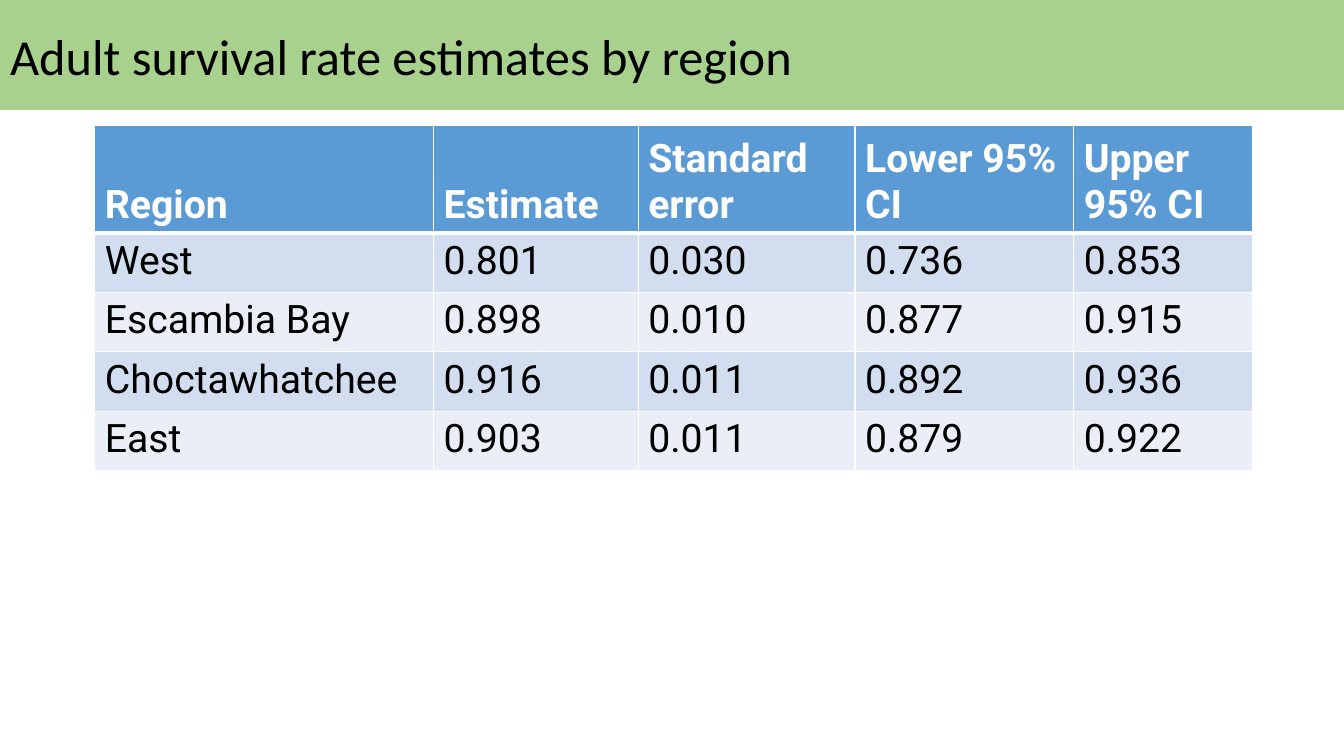
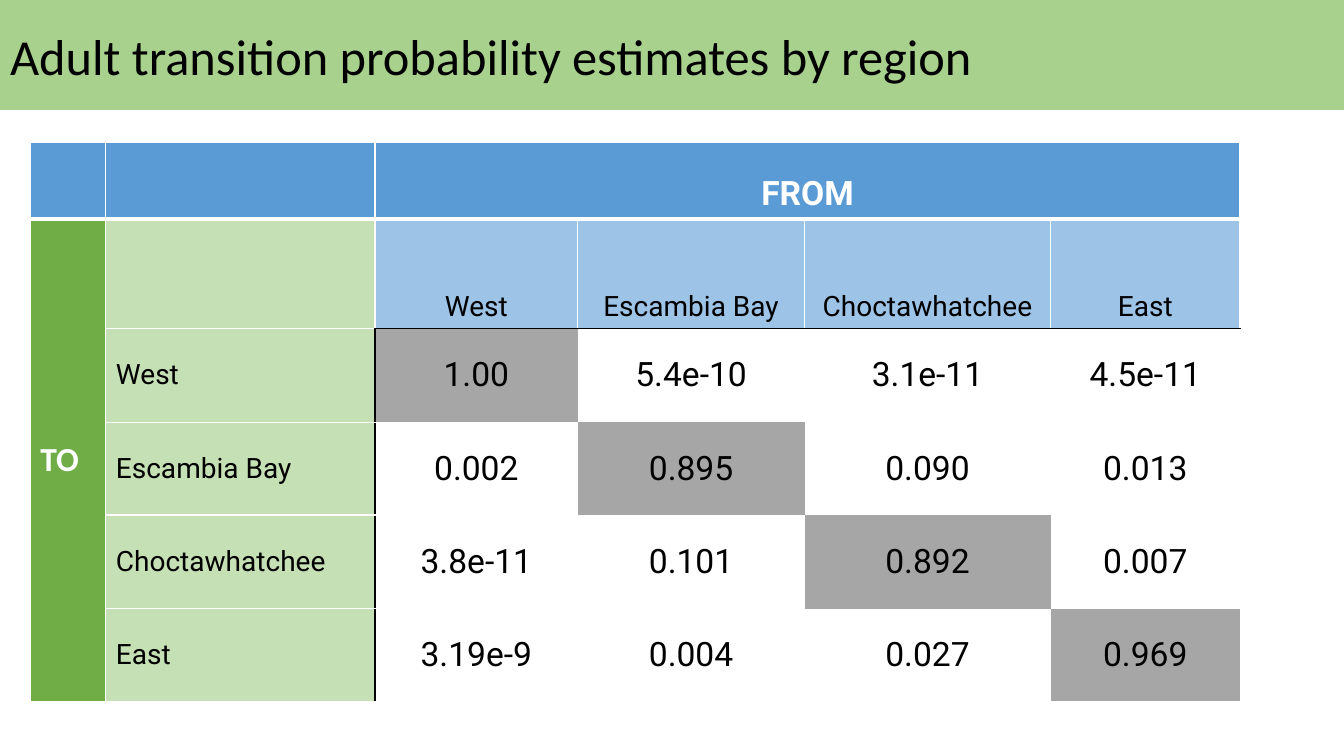
from lxml import etree
from pptx import Presentation
from pptx.dml.color import RGBColor
from pptx.enum.text import MSO_ANCHOR, PP_ALIGN
from pptx.oxml.ns import qn
from pptx.util import Pt

TOP, MID, LOW = MSO_ANCHOR.TOP, MSO_ANCHOR.MIDDLE, MSO_ANCHOR.BOTTOM
LEFT, MIDDLE = PP_ALIGN.LEFT, PP_ALIGN.CENTER
SCALE = 9144
WIDE, HIGH = 1333, 750
ONLY = 5

COLORS = {
    "band": "A9D18E", "black": "000000", "white": "FFFFFF",
    "blue": "5B9BD5", "sky": "9DC3E6", "odd": "D2DEEF", "even": "EAEFF7",
    "green": "70AD47", "mint": "C5E0B4", "gray": "A6A6A6",
}


def look(size, color, anchor, align=LEFT, bold=False, name="Roboto"):
    return {
        "font": {"size": Pt(size), "bold": bold, "name": name},
        "color": color, "anchor": anchor, "align": align,
    }


LOOKS = {
    "title": look(36, "black", MID, name="Calibri"),
    "head": look(28, "white", LOW, bold=True),
    "body": look(28, "black", TOP),
    "from": look(24, "white", LOW, MIDDLE, True),
    "to": look(24, "white", MID, bold=True, name="Calibri"),
    "top": look(20, "black", LOW, MIDDLE),
    "side": look(20, "black", MID),
    "value": look(24, "black", MID, MIDDLE),
}

THIN, THICK, DARK = ("white", 1), ("white", 3), ("black", 1)
GRID = dict.fromkeys("LRTB", THIN)
HEAD = GRID | {"B": THICK}
FIRST = GRID | {"T": THICK}


class Deck:
    def __init__(self):
        self.show = Presentation()
        self.show.slide_width = WIDE * SCALE
        self.show.slide_height = HIGH * SCALE
        self.slide = None

    def paint(self, item, color):
        item.fill.solid()
        item.fill.fore_color.rgb = RGBColor.from_string(COLORS[color])

    def label(self, frame, text, style):
        para = frame.paragraphs[0]
        para.alignment = style["align"]
        run = para.add_run()
        run.text = text
        for key, value in style["font"].items():
            setattr(run.font, key, value)
        run.font.color.rgb = RGBColor.from_string(COLORS[style["color"]])

    def page(self, text):
        self.slide = self.show.slides.add_slide(self.show.slide_layouts[ONLY])
        title = self.slide.shapes.title
        place = {"left": 0, "top": 0, "width": WIDE, "height": 109}
        for key, value in place.items():
            setattr(title, key, value * SCALE)
        self.paint(title, "band")
        title.text_frame.vertical_anchor = LOOKS["title"]["anchor"]
        self.label(title.text_frame, text, LOOKS["title"])

    def table(self, left, top, cols, rows):
        box = [left, top, sum(cols), sum(rows)]
        shape = self.slide.shapes.add_table(
            len(rows), len(cols), *(n * SCALE for n in box))
        table = shape.table
        table.horz_banding = False
        for col, width in zip(table.columns, cols):
            col.width = width * SCALE
        for row, height in zip(table.rows, rows):
            row.height = height * SCALE
        return table

    def edge(self, cell, sides):
        props = cell._tc.get_or_add_tcPr()
        for side in "LRTB":
            line = etree.SubElement(props, qn(f"a:ln{side}"))
            if side in sides:
                color, width = sides[side]
                line.set("w", str(Pt(width)))
                fill = etree.SubElement(line, qn("a:solidFill"))
                etree.SubElement(fill, qn("a:srgbClr"), val=COLORS[color])
            else:
                etree.SubElement(line, qn("a:noFill"))

    def cell(self, cell, text, style, color, sides):
        self.edge(cell, sides)
        self.paint(cell, color)
        if text:
            cell.vertical_anchor = LOOKS[style]["anchor"]
            self.label(cell.text_frame, text, LOOKS[style])


def rates(deck):
    deck.page("Adult survival rate estimates by region")
    data = [
        ["Region", "Estimate", "Standard error", "Lower 95% CI", "Upper 95% CI"],
        ["West", "0.801", "0.030", "0.736", "0.853"],
        ["Escambia Bay", "0.898", "0.010", "0.877", "0.915"],
        ["Choctawhatchee", "0.916", "0.011", "0.892", "0.936"],
        ["East", "0.903", "0.011", "0.879", "0.922"],
    ]
    table = deck.table(94, 124, [336, 203, 215, 217, 177], [107] + [59] * 4)
    for r, row in enumerate(data):
        if r == 0:
            style, color, sides = "head", "blue", HEAD
        else:
            style, color = "body", "odd" if r % 2 else "even"
            sides = FIRST if r == 1 else GRID
        for c, text in enumerate(row):
            deck.cell(table.cell(r, c), text, style, color, sides)


def moves(deck):
    deck.page("Adult transition probability estimates by region")
    names = ["West", "Escambia Bay", "Choctawhatchee", "East"]
    odds = [
        ["1.00", "5.4e-10", "3.1e-11", "4.5e-11"],
        ["0.002", "0.895", "0.090", "0.013"],
        ["3.8e-11", "0.101", "0.892", "0.007"],
        ["3.19e-9", "0.004", "0.027", "0.969"],
    ]
    table = deck.table(30, 141, [75, 267, 201, 225, 244, 188],
                       [76, 109] + [93, 92] * 2)
    table.cell(0, 2).merge(table.cell(0, 5))
    table.cell(1, 0).merge(table.cell(5, 0))
    for c in range(6):
        deck.cell(table.cell(0, c), "FROM" if c == 2 else "",
                  "from", "blue", HEAD)
    for r in range(1, 6):
        deck.cell(table.cell(r, 0), "TO" if r == 1 else "", "to", "green",
                  FIRST if r == 1 else GRID)
    deck.cell(table.cell(1, 1), "", "side", "mint", FIRST)
    for i, name in enumerate(names):
        deck.cell(table.cell(1, i + 2), name, "top", "sky",
                  FIRST | {"B": DARK})
        deck.cell(table.cell(i + 2, 1), name, "side", "mint",
                  GRID | {"R": DARK})
        for j, text in enumerate(odds[i]):
            sides = {}
            if i == 0:
                sides["T"] = DARK
            if j == 0:
                sides["L"] = DARK
            deck.cell(table.cell(i + 2, j + 2), text, "value",
                      "gray" if i == j else "white", sides)


def main():
    deck = Deck()
    rates(deck)
    moves(deck)
    deck.show.save("out.pptx")


if __name__ == "__main__":
    main()
